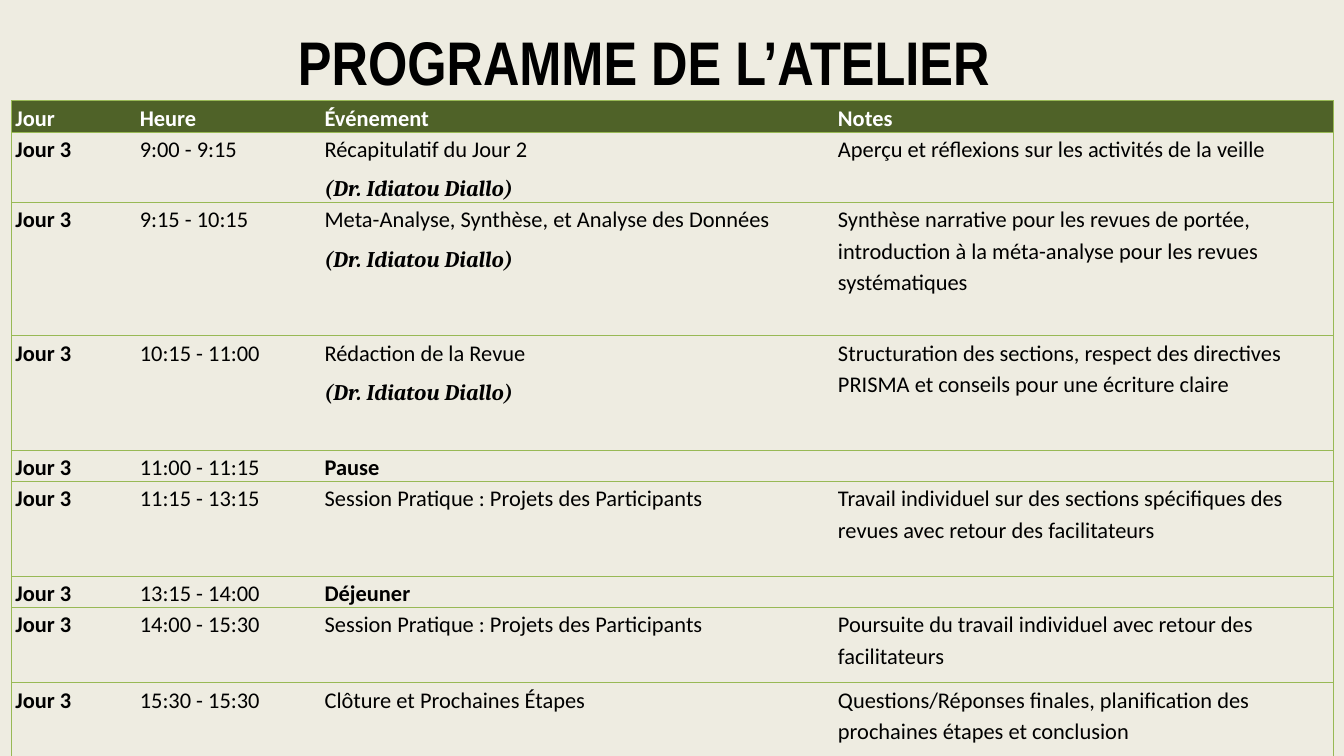
from dataclasses import dataclass

from lxml import etree
from pptx import Presentation
from pptx.dml.color import RGBColor
from pptx.enum.text import MSO_ANCHOR, MSO_AUTO_SIZE, PP_ALIGN
from pptx.oxml.ns import qn
from pptx.util import Inches, Pt

CENTER = PP_ALIGN.CENTER
MIDDLE = MSO_ANCHOR.MIDDLE
NO_AUTOFIT = MSO_AUTO_SIZE.NONE
TITLE_ONLY = 5
NO_STYLE_NO_GRID = "{2D5ABB26-0587-4C30-8999-92F81FD0307C}"

SLIDE_WIDTH, SLIDE_HEIGHT = Inches(20), Inches(11.25)
PAPER, INK, WHITE = "EEECE1", "000000", "FFFFFF"
HEADER_GREEN, RULE_GREEN = "4F6228", "98B955"

# Percent of the slide: left, top, width, height
TITLE_AREA = (3.75, 2.49, 88.35, 11.11)
TABLE_AREA = (0.85, 13.33, 98.35, 82.13)
COLUMN_SHARES = (9.41, 13.98, 38.84, 37.77)  # percent of the table width
SINGLE_LINE = 2.31  # percent of the slide height; the row grows to its text

HEADINGS = ("Jour", "Heure", "Événement", "Notes")
DAY = "Jour 3"
SPEAKER = "(Dr. Idiatou Diallo)"
PRACTICE = "Session Pratique : Projets des Participants"

TITLE_FORMAT = {"name": "Arial Narrow", "size": Pt(66), "bold": True}
PLAIN = {"name": "Calibri", "size": Pt(24), "bold": False}
BOLD = {**PLAIN, "bold": True}
SPEAKER_FORMAT = {**BOLD, "name": "Cambria", "italic": True}
PARAGRAPH_FORMAT = {"line_spacing": 1.15, "space_after": Pt(10)}
CELL_FORMAT = {"margin_left": Inches(0.06), "margin_right": Inches(0.06),
               "margin_top": 0, "margin_bottom": 0}


@dataclass
class Session:
    hours: str
    event: str
    notes: str = ""
    height: float = SINGLE_LINE
    speaker: str = ""

    @property
    def is_break(self) -> bool:
        return not self.notes


SESSIONS = (
    Session("9:00 - 9:15", "Récapitulatif du Jour 2",
            "Aperçu et réflexions sur les activités de la veille", 7.47, SPEAKER),
    Session("9:15 - 10:15", "Meta-Analyse, Synthèse, et Analyse des Données",
            "Synthèse narrative pour les revues de portée, introduction à la "
            "méta-analyse pour les revues systématiques", 17.6, SPEAKER),
    Session("10:15 - 11:00", "Rédaction de la Revue",
            "Structuration des sections, respect des directives PRISMA et "
            "conseils pour une écriture claire", 15.11, SPEAKER),
    Session("11:00 - 11:15", "Pause"),
    Session("11:15 - 13:15", PRACTICE,
            "Travail individuel sur des sections spécifiques des revues avec "
            "retour des facilitateurs", 12.53),
    Session("13:15 - 14:00", "Déjeuner"),
    Session("14:00 - 15:30", PRACTICE,
            "Poursuite du travail individuel avec retour des facilitateurs", 9.96),
    Session("15:30 - 15:30", "Clôture et Prochaines Étapes",
            "Questions/Réponses finales, planification des prochaines étapes "
            "et conclusion", 12.53),
)


def apply(target, values: dict) -> None:
    for name, value in values.items():
        setattr(target, name, value)


def paint(fill, color: str) -> None:
    fill.solid()
    fill.fore_color.rgb = RGBColor.from_string(color)


def on_slide(area: tuple) -> list[int]:
    """Turn percentages of the slide into lengths."""
    sides = (SLIDE_WIDTH, SLIDE_HEIGHT) * 2
    return [int(side * share / 100) for side, share in zip(sides, area)]


def write(para, text: str, font_format: dict, color: str) -> None:
    span = para.add_run()
    span.text = text
    apply(span.font, font_format)
    span.font.color.rgb = RGBColor.from_string(color)


def add_rules(cell, sides: str) -> None:
    """Rule the sides named by letters among L, R, T and B, in that order."""
    properties = cell._tc.get_or_add_tcPr()
    for side in sides:
        line = etree.SubElement(properties, qn(f"a:ln{side}"), w=str(Pt(0.75)))
        solid = etree.SubElement(line, qn("a:solidFill"))
        etree.SubElement(solid, qn("a:srgbClr"), val=RULE_GREEN)


def fill_row(cells: list, entries: list, color: str, background: str = "") -> None:
    """Write a row; each entry lists the (text, format) pairs of one cell."""
    for column, (cell, lines) in enumerate(zip(cells, entries)):
        apply(cell, CELL_FORMAT)
        edge = {0: "L", len(entries) - 1: "R"}.get(column, "")
        add_rules(cell, edge + "TB")
        if background:
            paint(cell.fill, background)
        else:
            cell.fill.background()
        frame = cell.text_frame
        for number, (text, font_format) in enumerate(lines):
            para = frame.add_paragraph() if number else frame.paragraphs[0]
            apply(para, PARAGRAPH_FORMAT)
            write(para, text, font_format, color)


def session_entries(session: Session) -> list:
    event = [(session.event, BOLD if session.is_break else PLAIN)]
    if session.speaker:
        event.append((session.speaker, SPEAKER_FORMAT))
    notes = [(session.notes, PLAIN)] if session.notes else []
    return [[(DAY, BOLD)], [(session.hours, PLAIN)], event, notes]


def add_title(page, text: str) -> None:
    box = page.shapes.title
    apply(box, dict(zip(("left", "top", "width", "height"), on_slide(TITLE_AREA))))
    paint(box.fill, PAPER)
    frame = box.text_frame
    apply(frame, {"word_wrap": True, "auto_size": NO_AUTOFIT,
                  "vertical_anchor": MIDDLE})
    para = frame.paragraphs[0]
    para.alignment = CENTER
    write(para, text, TITLE_FORMAT, INK)


def add_programme(page) -> None:
    area = on_slide(TABLE_AREA)
    table = page.shapes.add_table(len(SESSIONS) + 1, len(HEADINGS), *area).table
    table.horz_banding = False
    table._tbl.tblPr.find(qn("a:tableStyleId")).text = NO_STYLE_NO_GRID
    for column, share in zip(table.columns, COLUMN_SHARES):
        column.width = int(area[2] * share / 100)

    heights = [SINGLE_LINE] + [session.height for session in SESSIONS]
    for row, height in zip(table.rows, heights):
        row.height = int(SLIDE_HEIGHT * height / 100)

    header, *body = table.rows
    fill_row(header.cells, [[(heading, BOLD)] for heading in HEADINGS],
             WHITE, HEADER_GREEN)
    for row, session in zip(body, SESSIONS):
        fill_row(row.cells, session_entries(session), INK)


def main() -> None:
    deck = Presentation()
    apply(deck, {"slide_width": SLIDE_WIDTH, "slide_height": SLIDE_HEIGHT})
    page = deck.slides.add_slide(deck.slide_layouts[TITLE_ONLY])
    paint(page.background.fill, PAPER)
    add_title(page, "PROGRAMME DE L’ATELIER")
    add_programme(page)
    deck.save("out.pptx")


if __name__ == "__main__":
    main()
